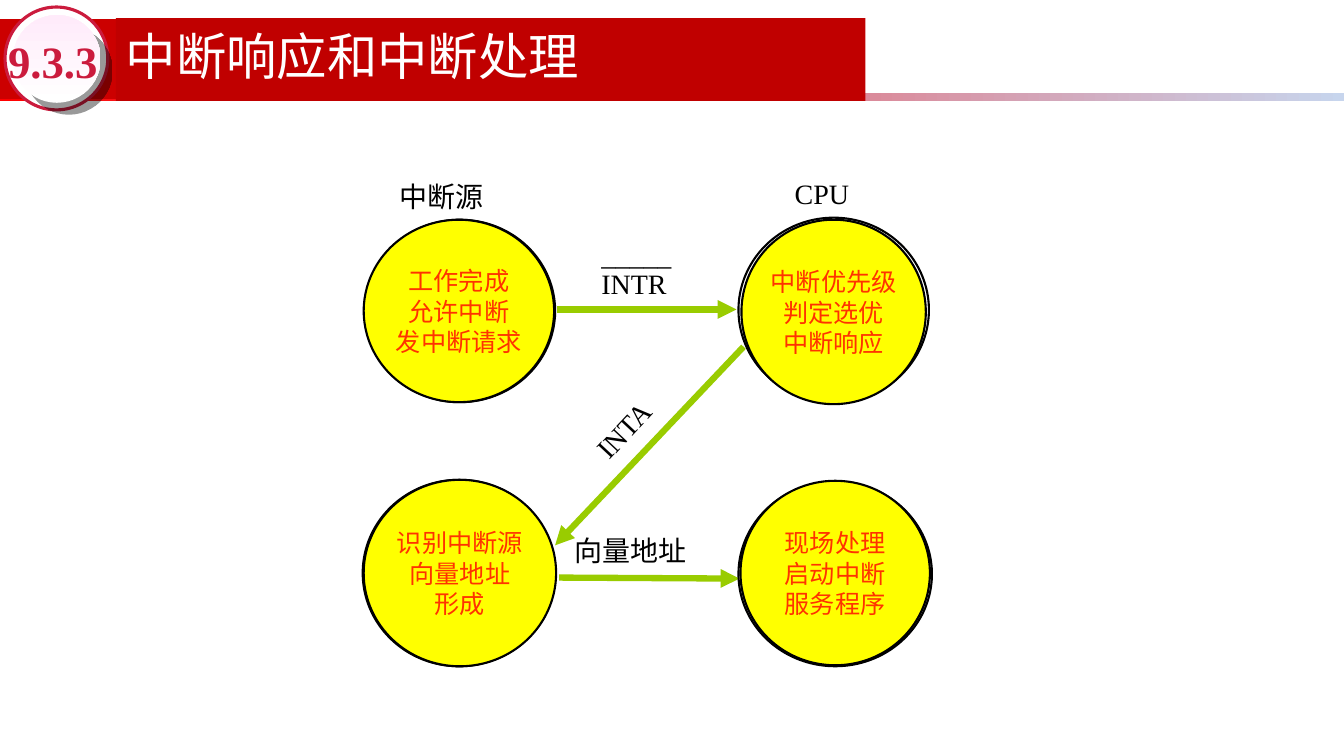
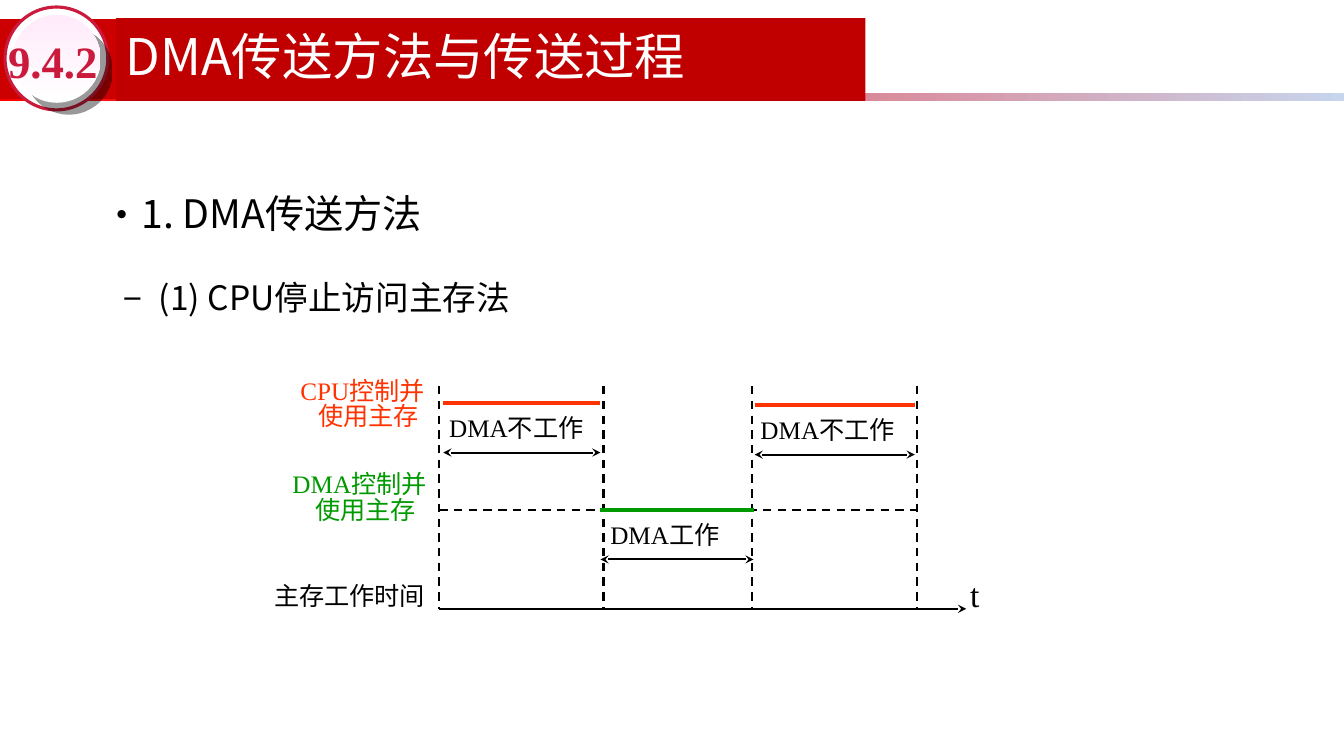
import pptx
import pptx.util
import pptx.dml.color
import pptx.enum.dml
import pptx.enum.shapes
import pptx.enum.text
import pptx.oxml
import pptx.oxml.ns
from lxml import etree

Inches = pptx.util.Inches
Pt = pptx.util.Pt
RGBColor = pptx.dml.color.RGBColor
SHAPE = pptx.enum.shapes.MSO_SHAPE
ALIGN = pptx.enum.text.PP_ALIGN
ANCHOR = pptx.enum.text.MSO_ANCHOR
qn = pptx.oxml.ns.qn

WHITE = RGBColor(0xFF, 0xFF, 0xFF)
BLACK = RGBColor(0, 0, 0)
PINK = RGBColor(0xFF, 0xEB, 0xFA)
RED = RGBColor(0xFF, 0, 0)
PALE_BLUE = RGBColor(0xC7, 0xD5, 0xED)
BAND_RED = RGBColor(0xCC, 0, 0)
TITLE_RED = RGBColor(0xC0, 0, 0)
CRIMSON = RGBColor(0xCB, 0x1B, 0x3D)
YELLOW = RGBColor(0xFF, 0xFF, 0)
ORANGE = RGBColor(0xFF, 0x33, 0)
LIME = RGBColor(0x99, 0xCC, 0)
GREEN = RGBColor(0, 0x99, 0)

SANS = "Noto Sans CJK SC"
SERIF = "Times New Roman"


def style(paragraph, size, color, font=SERIF, bold=False):
    paragraph.font.size = Pt(size)
    paragraph.font.bold = bold
    paragraph.font.color.rgb = color
    paragraph.font.name = font
    defaults = paragraph._p.pPr.find(qn("a:defRPr"))
    etree.SubElement(defaults, qn("a:ea"), typeface=SANS)


def write(frame, lines, size, color, font=SERIF, align=ALIGN.LEFT, bold=False):
    frame.text = "\n".join(lines)
    for paragraph in frame.paragraphs:
        paragraph.alignment = align
        style(paragraph, size, color, font, bold)
    return frame


def add_shape(slide, kind, box, fill=None, outline=None, width=1.5):
    shape = slide.shapes.add_shape(kind, *map(Inches, box))
    shape.shadow.inherit = False
    if fill is None:
        shape.fill.background()
    elif isinstance(fill, RGBColor):
        shape.fill.solid()
        shape.fill.fore_color.rgb = fill
    else:
        first, last, angle = fill
        shape.fill.gradient()
        shape.fill.gradient_angle = angle
        for stop, color, position in zip(shape.fill.gradient_stops, (first, last), (0, 1)):
            stop.color.rgb = color
            stop.position = position
    if outline is None:
        shape.line.fill.background()
    else:
        shape.line.color.rgb = outline
        shape.line.width = Pt(width)
    return shape


def add_label(slide, box, lines, size=18, color=BLACK, align=ALIGN.LEFT):
    label = slide.shapes.add_textbox(*map(Inches, box))
    label.text_frame.word_wrap = True
    write(label.text_frame, lines, size, color, align=align)
    for paragraph in label.text_frame.paragraphs[1:]:
        paragraph.line_spacing = 0.2
        paragraph.space_before = Pt(size * 0.625)
    return label


def add_line(slide, start, end, color=BLACK, width=1.5, dashed=False, head=None, tail=None):
    line = slide.shapes.add_connector(
        pptx.enum.shapes.MSO_CONNECTOR.STRAIGHT, *map(Inches, (*start, *end)))
    line.line.color.rgb = color
    line.line.width = Pt(width)
    if dashed:
        line.line.dash_style = pptx.enum.dml.MSO_LINE.DASH
    outline = line.line._get_or_add_ln()
    for tag, arrow in (("a:headEnd", head), ("a:tailEnd", tail)):
        if arrow:
            etree.SubElement(outline, qn(tag), type=arrow)
    etree.SubElement(line._element.spPr, qn("a:effectLst"))


def cast_shadow(shape):
    effects = shape._element.spPr.find(qn("a:effectLst"))
    shadow = etree.SubElement(effects, qn("a:outerShdw"), blurRad="0",
                              dist=str(int(Pt(12.1))), dir="2700000", algn="ctr", rotWithShape="0")
    color = etree.SubElement(shadow, qn("a:srgbClr"), val=str(BLACK))
    etree.SubElement(color, qn("a:alpha"), val="40000")


def add_header(slide, number, title):
    add_shape(slide, SHAPE.RECTANGLE, (0, 0.92, 13.34, 0.08), (RED, PALE_BLUE, 0))
    add_shape(slide, SHAPE.RECTANGLE, (0, 0.19, 7.3, 0.79), BAND_RED)
    title_band = add_shape(slide, SHAPE.RECTANGLE, (1.15, 0.18, 7.44, 0.82), TITLE_RED)
    add_shape(slide, SHAPE.OVAL, (0.05, 0.07, 1.02, 1.02), WHITE, CRIMSON, 2.25)
    cast_shadow(add_shape(slide, SHAPE.OVAL, (0.13, 0.15, 0.87, 0.87), (WHITE, PINK, 90)))
    frame = write(title_band.text_frame, [title], 36, WHITE, SANS)
    frame.vertical_anchor = ANCHOR.MIDDLE
    frame.paragraphs[0].line_spacing = 0.9
    badge = slide.shapes.add_textbox(*map(Inches, (0.08, 0.33, 0.93, 0.54))).text_frame
    badge.word_wrap = True
    badge.vertical_anchor = ANCHOR.MIDDLE
    badge.margin_left = badge.margin_right = badge.margin_top = badge.margin_bottom = 0
    write(badge, [number], 32, CRIMSON, bold=True)


def add_stage(slide, ring, disc, lines):
    add_shape(slide, SHAPE.OVAL, ring, outline=BLACK)
    frame = add_shape(slide, SHAPE.OVAL, disc, YELLOW, BLACK).text_frame
    frame.word_wrap = False
    frame.vertical_anchor = ANCHOR.MIDDLE
    write(frame, lines, 18, ORANGE, align=ALIGN.CENTER)


def add_handshake(slide, left, top):
    def place(x, y, *size):
        return (left + x, top + y, *size)

    for start, end in (((1.95, 4.03), (3.74, 4.04)),
                       ((3.78, 1.74), (1.91, 3.71)),
                       ((1.93, 1.37), (3.71, 1.37))):
        add_line(slide, place(*start), place(*end), LIME, 4.5, tail="triangle")
    stages = (
        ((0.02, 0.48, 1.89, 1.81), (0.01, 0.48, 1.89, 1.81), ["工作完成", "允许中断", "发中断请求"]),
        ((3.73, 0.46, 1.89, 1.83), (3.76, 0.48, 1.83, 1.83), ["中断优先级", "判定选优", "中断响应"]),
        ((0, 3.06, 1.91, 1.85), (0.01, 3.06, 1.91, 1.85), ["识别中断源", "向量地址", "形成"]),
        ((3.73, 3.08, 1.92, 1.83), (3.75, 3.07, 1.88, 1.83), ["现场处理", "启动中断", "服务程序"]),
    )
    for ring, disc, lines in stages:
        add_stage(slide, place(*ring), place(*disc), lines)
    for box, lines in (((0.27, 0.03, 1.66, 0.44), ["中断源"]),
                       ((4.19, 0, 1.66, 0.44), ["CPU"]),
                       ((2, 3.54, 1.82, 0.44), ["向量地址"]),
                       ((2.27, 0.61, 1.46, 0.68), ["_____", "INTR"])):
        add_label(slide, place(*box), lines, 20)
    acknowledge = add_label(slide, place(2.08, 2.14, 1.4, 0.44), ["INTA"], 20)
    acknowledge.rotation = 313.1


def add_outline(slide, box):
    frame = slide.shapes.add_textbox(*map(Inches, box)).text_frame
    frame.word_wrap = True
    frame.text = "1. DMA传送方法\n(1) CPU停止访问主存法"
    levels = ((28, "•", 0.19, -0.19), (24, "−", 0.56, -0.35))
    for level, (paragraph, (size, bullet, margin, indent)) in enumerate(zip(frame.paragraphs, levels)):
        paragraph.level = level
        paragraph.alignment = ALIGN.JUSTIFY
        paragraph.line_spacing = 2.0
        properties = paragraph._p.get_or_add_pPr()
        properties.set("marL", str(Inches(margin)))
        properties.set("indent", str(Inches(indent)))
        bullet_color = etree.SubElement(properties, qn("a:buClr"))
        etree.SubElement(bullet_color, qn("a:srgbClr"), val=str(BLACK))
        etree.SubElement(properties, qn("a:buFont"), typeface=SANS)
        etree.SubElement(properties, qn("a:buChar"), char=bullet)
        style(paragraph, size, BLACK, SANS)


def add_phase(slide, left, top, width, color, text, text_shift):
    right = left + width
    add_line(slide, (left, top), (right, top), color, 3)
    add_line(slide, (left, top + 0.49), (right, top + 0.49), head="stealth", tail="stealth")
    add_label(slide, (left + text_shift, top + 0.04, 1.9, 0.4), [text])


def add_timing(slide, left, top):
    bottom = top + 2.21
    middle = top + 1.23
    add_line(slide, (left, bottom), (left + 5.23, bottom), tail="stealth")
    add_line(slide, (left, middle), (left + 4.74, middle), dashed=True)
    for offset in (0, 1.63, 3.1, 4.74):
        add_line(slide, (left + offset, top), (left + offset, bottom), dashed=True)
    for x, y, owner, color in ((-1.74, -0.16, "CPU", ORANGE), (-1.77, 0.77, "DMA", GREEN)):
        signal = add_label(slide, (left + x, top + y, 1.96, 0.62),
                           [owner + "控制并", "使用主存"], 18, color, ALIGN.CENTER)
        signal.text_frame.paragraphs[1]._p.pPr.set("marL", str(Inches(0.12)))
    add_label(slide, (left - 1.95, top + 1.88, 2.12, 0.4), ["主存工作时间"], align=ALIGN.CENTER)
    add_label(slide, (left + 5.17, top + 1.81, 1.04, 0.5), ["t"], 24)
    for x, y, width, color, text, shift in (
            (0.04, 0.17, 1.56, ORANGE, "DMA不工作", -0.04),
            (3.13, 0.19, 1.59, ORANGE, "DMA不工作", -0.04),
            (1.6, 1.23, 1.52, GREEN, "DMA工作", 0)):
        add_phase(slide, left + x, top + y, width, color, text, shift)


def main():
    deck = pptx.Presentation()
    deck.slide_width = Inches(13.34)
    deck.slide_height = Inches(7.5)
    blank = deck.slide_layouts[6]

    interrupt = deck.slides.add_slide(blank)
    add_header(interrupt, "9.3.3", "中断响应和中断处理")
    add_handshake(interrupt, 3.6, 1.7)

    transfer = deck.slides.add_slide(blank)
    add_header(transfer, "9.4.2", "DMA传送方法与传送过程")
    add_outline(transfer, (0.92, 1.36, 11.5, 5.44))
    add_timing(transfer, 4.36, 3.83)

    deck.save("out.pptx")


if __name__ == "__main__":
    main()
